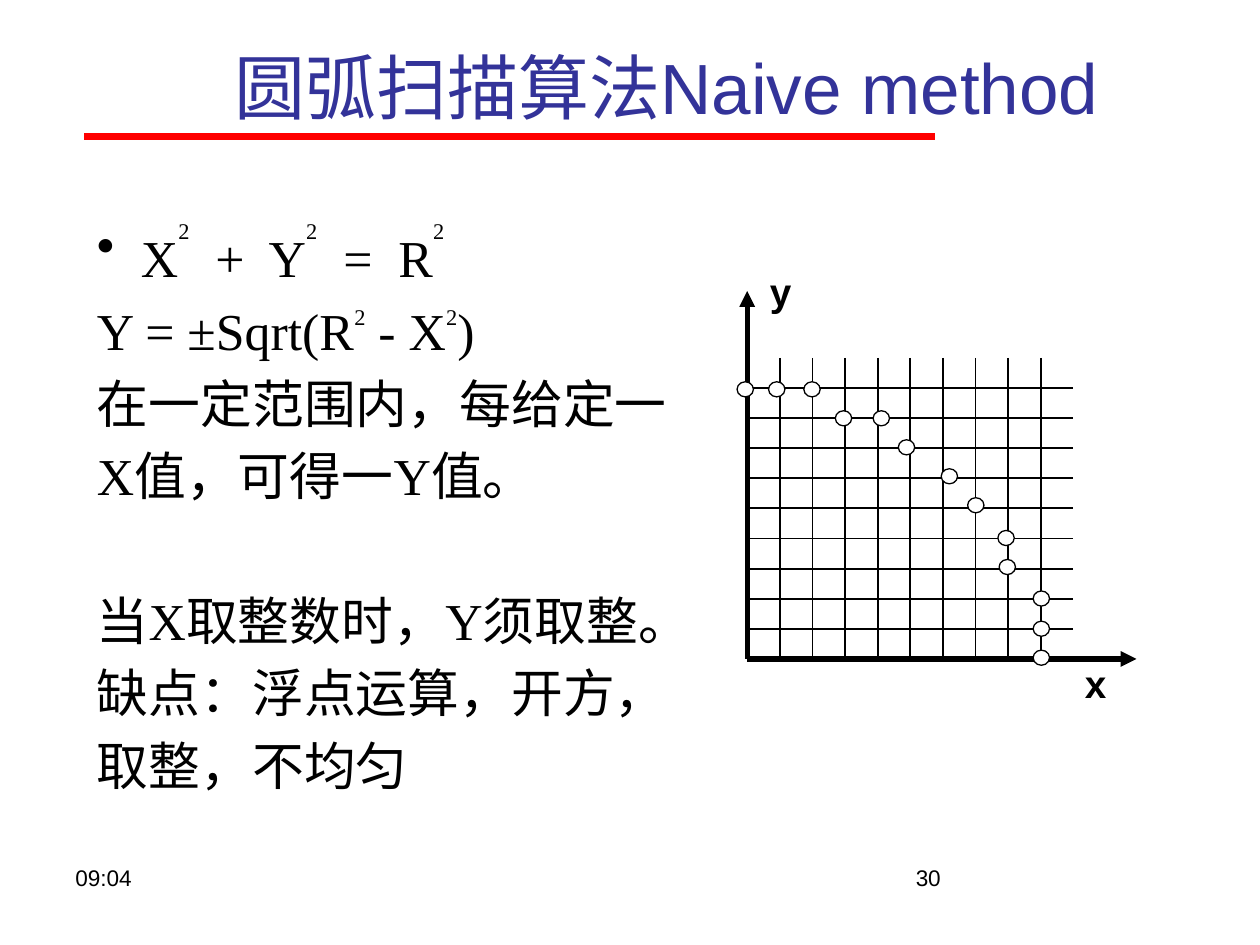
from dataclasses import dataclass

from lxml import etree
from pptx import Presentation
from pptx import util as u
from pptx.dml.color import RGBColor
from pptx.enum import shapes, text
from pptx.oxml.ns import qn


@dataclass(frozen=True)
class Theme:
    ink: str = "000000"
    paper: str = "FFFFFF"
    heading: str = "333399"
    rule: str = "FF0000"
    sans: str = "Arial"
    serif: str = "Times New Roman"
    title_size: float = 40.6
    body_size: float = 29.6
    label_size: float = 22.1
    footer_size: float = 12.9
    gap: float = 6


def apply(target, values):
    for name, value in values.items():
        setattr(target, name, value)


class Board:
    def __init__(self, slide, theme):
        self.slide = slide
        self.theme = theme

    def box(self, left, top, width, height):
        return [u.Inches(n) for n in (left, top, width, height)]

    def add_words(self, paragraph, words, size, font, color=None, bold=False, raised=None):
        """Add a run; raised is a superscript offset in percent."""
        run = paragraph.add_run()
        run.text = words
        apply(run.font, {"size": u.Pt(size), "name": font, "bold": bold})
        run.font.color.rgb = RGBColor.from_string(color or self.theme.ink)
        if raised:
            run._r.get_or_add_rPr().set("baseline", str(raised * 1000))

    def frame(self, *place, anchor=text.MSO_ANCHOR.TOP):
        frame = self.slide.shapes.add_textbox(*self.box(*place)).text_frame
        apply(frame, {"word_wrap": True, "vertical_anchor": anchor})
        return frame

    def shape(self, kind, *place, outline=None):
        shape = self.slide.shapes.add_shape(kind, *self.box(*place))
        shape.shadow.inherit = False
        shape.fill.solid()
        shape.fill.fore_color.rgb = RGBColor.from_string(self.theme.paper)
        if outline:
            shape.line.color.rgb = RGBColor.from_string(self.theme.ink)
            shape.line.width = u.Pt(outline)
        else:
            shape.line.fill.background()
        return shape

    def cell(self, *place):
        self.shape(shapes.MSO_SHAPE.RECTANGLE, *place)

    def dot(self, left, top):
        self.shape(shapes.MSO_SHAPE.OVAL, left, top, 0.13, 0.12, outline=0.75)

    def axis_label(self, words, *place):
        frame = self.shape(shapes.MSO_SHAPE.RECTANGLE, *place).text_frame
        apply(frame, {
            "margin_left": u.Inches(0.09), "margin_right": u.Inches(0.09),
            "margin_top": u.Inches(0.05), "margin_bottom": u.Inches(0.05),
            "word_wrap": True, "vertical_anchor": text.MSO_ANCHOR.TOP,
        })
        label = frame.paragraphs[0]
        label.alignment = text.PP_ALIGN.LEFT
        self.add_words(label, words, self.theme.label_size, self.theme.sans, bold=True)

    def line(self, start, end, width, color=None, arrow=False):
        ends = [u.Inches(n) for n in (*start, *end)]
        line = self.slide.shapes.add_connector(shapes.MSO_CONNECTOR.STRAIGHT, *ends)
        line.line.color.rgb = RGBColor.from_string(color or self.theme.ink)
        line.line.width = u.Pt(width)
        properties = line._element.spPr
        if arrow:
            etree.SubElement(properties.find(qn("a:ln")), qn("a:tailEnd"), type="triangle")
        etree.SubElement(properties, qn("a:effectLst"))

    def footer(self, words, left):
        paragraph = self.frame(left, 6.81, 2.33, 0.32).paragraphs[0]
        self.add_words(paragraph, words, self.theme.footer_size, self.theme.sans)

    def title(self, words):
        frame = self.frame(1.33, 0.29, 7.92, 0.79, anchor=text.MSO_ANCHOR.MIDDLE)
        heading = frame.paragraphs[0]
        heading.alignment = text.PP_ALIGN.CENTER
        self.add_words(heading, words, self.theme.title_size, self.theme.sans,
                       self.theme.heading)

    def body(self, lines):
        """Each line is (space before, superscript offset, pieces); odd pieces are raised."""
        frame = self.frame(0.67, 1.67, 8.5, 4.85)
        for number, (space, offset, pieces) in enumerate(lines):
            paragraph = frame.add_paragraph() if number else frame.paragraphs[0]
            properties = paragraph._p.get_or_add_pPr()
            properties.set("marL", str(u.Inches(0.35)))
            properties.set("indent", str(-u.Inches(0.35)))
            if number:
                paragraph.space_before = u.Pt(space)
            else:
                etree.SubElement(properties, qn("a:buChar"), char="•")
            for index, piece in enumerate(pieces):
                raised = index % 2
                size = self.theme.label_size if raised else self.theme.body_size
                self.add_words(paragraph, piece, size, self.theme.serif,
                               raised=offset if raised else None)


LEFT, RIGHT, TOP, BOTTOM = 5.93, 8.52, 2.84, 5.23
CELLS = 10
ARC = [(5.85, 3.03), (6.1, 3.03), (6.38, 3.03), (6.63, 3.26), (6.93, 3.26),
       (7.13, 3.49), (7.47, 3.72), (7.68, 3.95), (7.92, 4.21), (7.93, 4.44),
       (8.2, 4.69), (8.2, 4.93), (8.2, 5.16)]


def draw_grid(board):
    wide, high = (RIGHT - LEFT) / CELLS, (BOTTOM - TOP) / CELLS
    for row in range(CELLS):
        for column in range(CELLS):
            board.cell(LEFT + column * wide, TOP + row * high, wide, high)
    for step in range(1, CELLS):
        x, y = LEFT + step * wide, TOP + step * high
        board.line((LEFT, y), (RIGHT, y), 1)
        board.line((x, TOP), (x, BOTTOM), 1)
    for tip in ((LEFT, 2.31), (9.02, BOTTOM)):
        board.line((LEFT, BOTTOM), tip, 3, arrow=True)


def main():
    deck = Presentation()
    apply(deck, {"slide_width": u.Inches(10), "slide_height": u.Inches(7.5)})
    theme = Theme()
    board = Board(deck.slides.add_slide(deck.slide_layouts[6]), theme)

    board.line((0.67, 1.08), (7.42, 1.08), 4, theme.rule)
    board.footer("30", 7.17)
    board.axis_label("x", 8.52, 5.19, 0.44, 0.47)
    draw_grid(board)
    board.title("圆弧扫描算法Naive method")
    gap = theme.gap
    board.body([
        (0, 100, ["X", "2", "  +  Y", "2", "  =  R", "2"]),
        (gap, 64, ["Y = ±Sqrt(R", "2", " - X", "2", ")"]),
        (gap, 0, ["在一定范围内，每给定一"]),
        (gap, 0, ["X值，可得一Y值。"]),
        (gap + 41, 0, ["当X取整数时，Y须取整。"]),
        (gap, 0, ["缺点：浮点运算，开方，"]),
        (gap, 0, ["取整，不均匀"]),
    ])
    board.axis_label("y", 6.02, 2.08, 0.83, 0.47)
    for left, top in ARC:
        board.dot(left, top)
    board.footer("09:04", 0.5)
    deck.save("out.pptx")


if __name__ == "__main__":
    main()
